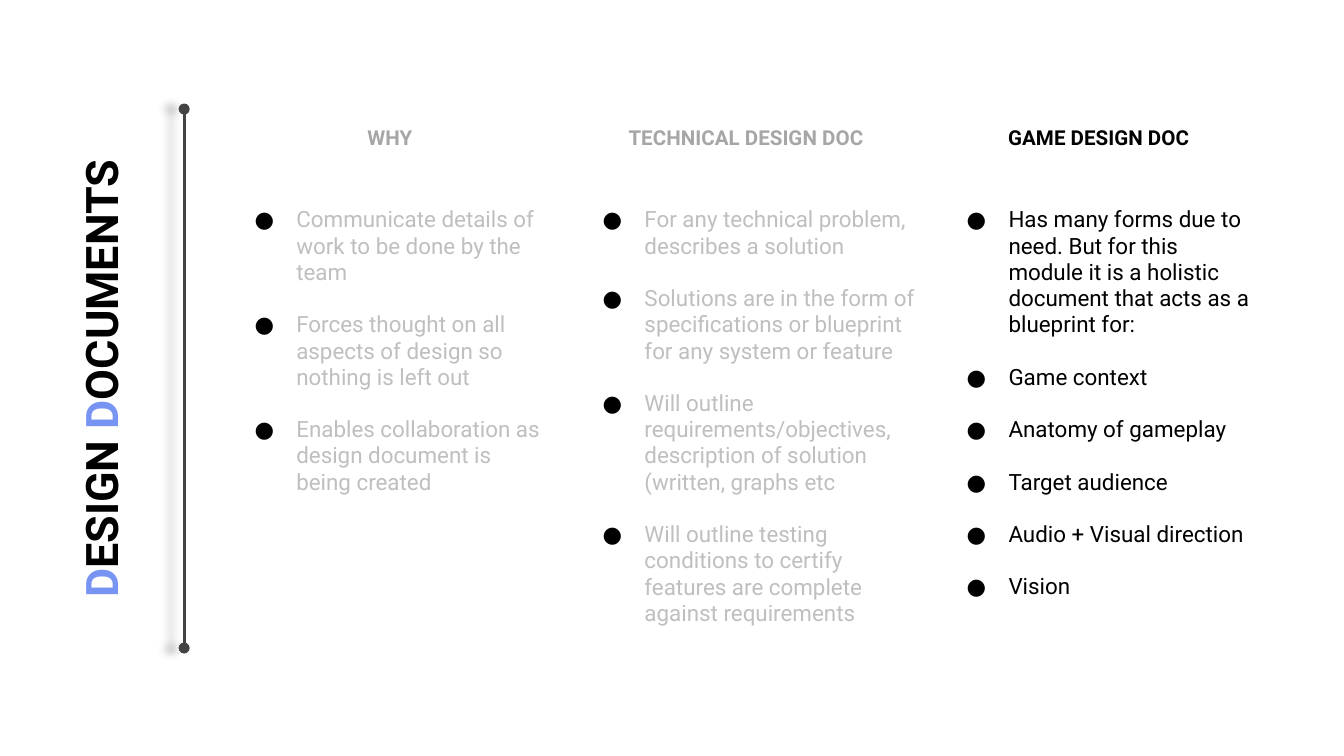
from pptx import Presentation
from pptx.dml.color import RGBColor
from pptx.enum.shapes import MSO_CONNECTOR
from pptx.enum.text import MSO_ANCHOR, MSO_AUTO_SIZE, PP_ALIGN
from pptx.oxml import parse_xml
from pptx.oxml.ns import nsdecls
from pptx.util import Cm, Pt

STRAIGHT = MSO_CONNECTOR.STRAIGHT
TOP, MIDDLE = MSO_ANCHOR.TOP, MSO_ANCHOR.MIDDLE
CENTER = PP_ALIGN.CENTER
FIT_SHAPE = MSO_AUTO_SIZE.SHAPE_TO_FIT_TEXT

FONT = "Roboto"
BLACK, BLUE = "000000", "7794F3"
HEADING_GREY, TEXT_GREY, RULE_GREY = "A6A6A6", "BFBFBF", "434343"
NO_STYLE = "{2D5ABB26-0587-4C30-8999-92F81FD0307C}"


def rgb(color):
    return RGBColor.from_string(color)


def add_run(paragraph, text, size, color, bold=False):
    run = paragraph.add_run()
    run.text = text
    run.font.name = FONT
    run.font.size = Pt(size)
    run.font.bold = bold
    run.font.color.rgb = rgb(color)


topics = [
    ("WHY", HEADING_GREY, TEXT_GREY, [
        "Communicate details of work to be done by the team",
        "Forces thought on all aspects of design so nothing is left out",
        "Enables collaboration as design document is being created",
    ]),
    ("TECHNICAL DESIGN DOC", HEADING_GREY, TEXT_GREY, [
        "For any technical problem, describes a solution",
        "Solutions are in the form of specifications or blueprint for any system or feature",
        "Will outline requirements/objectives, description of solution (written, graphs etc",
        "Will outline testing conditions to certify features are complete against requirements",
    ]),
    ("GAME DESIGN DOC", BLACK, BLACK, [
        "Has many forms due to need. But for this module it is a holistic "
        "document that acts as a blueprint for:",
        "Game context",
        "Anatomy of gameplay",
        "Target audience",
        "Audio + Visual direction",
        "Vision",
    ]),
]

prs = Presentation()
prs.slide_width, prs.slide_height = Cm(25.4), Cm(14.28)
slide = prs.slides.add_slide(prs.slide_layouts[5])

table = slide.shapes.add_table(2, 4, Cm(3.48), Cm(2.06), Cm(20.5), Cm(10.41)).table
table._tbl.tblPr[0].text = NO_STYLE
table.first_row = table.horz_banding = False
for column, width in zip(table.columns, (0.58, 6.58, 6.88, 6.45)):
    column.width = Cm(width)
for row, height in zip(table.rows, (1.6, 8.81)):
    row.height = Cm(height)
for cell in table.iter_cells():
    cell.fill.background()
    cell.margin_left = cell.margin_right = Cm(0.25)
    cell.margin_top = cell.margin_bottom = Cm(0.25)

for col, (heading, heading_color, text_color, points) in enumerate(topics, 1):
    heading_cell = table.cell(0, col)
    heading_cell.vertical_anchor = MIDDLE
    heading_cell.margin_bottom = Cm(0.76)
    heading_line = heading_cell.text_frame.paragraphs[0]
    heading_line.alignment = CENTER
    add_run(heading_line, heading, 11, heading_color, True)

    points_frame = table.cell(1, col).text_frame
    for i, point in enumerate(points):
        bullet = points_frame.add_paragraph() if i else points_frame.paragraphs[0]
        bullet_format = bullet._p.get_or_add_pPr()
        bullet_format.set("marL", str(Cm(1.27)))
        bullet_format.set("indent", str(Cm(-0.79)))
        for xml in (
            f'<a:buClr {nsdecls("a")}><a:srgbClr val="{BLACK}"/></a:buClr>',
            f'<a:buFont {nsdecls("a")} typeface="{FONT}"/>',
            f'<a:buChar {nsdecls("a")} char="●"/>',
        ):
            bullet_format.append(parse_xml(xml))
        if i:
            bullet.space_before = Pt(14)
        add_run(bullet, point, 12, text_color)

title = slide.shapes.title
title.left, title.top, title.width, title.height = Cm(-4.29), Cm(6.38), Cm(12.4), Cm(1.55)
title.rotation = 270
title_frame = title.text_frame
title_frame.word_wrap = True
title_frame.auto_size = FIT_SHAPE
title_frame.vertical_anchor = TOP
title_frame.margin_left = title_frame.margin_right = Cm(0.25)
title_frame.margin_top = title_frame.margin_bottom = Cm(0.25)
title_line = title_frame.paragraphs[0]
title_line.alignment = CENTER
for text, color in (("D", BLUE), ("ESIGN", BLACK), (" D", BLUE), ("OCUMENTS", BLACK)):
    add_run(title_line, text, 24, color, True)

divider = slide.shapes.add_connector(STRAIGHT, Cm(3.48), Cm(2.06), Cm(3.48), Cm(12.24))
divider.line.color.rgb = rgb(RULE_GREY)
divider.line.width = Pt(1.5)
divider_line = divider.line._get_or_add_ln()
for end in ("headEnd", "tailEnd"):
    divider_line.append(parse_xml(f'<a:{end} {nsdecls("a")} type="oval"/>'))
divider._element.spPr.append(parse_xml(
    f'<a:effectLst {nsdecls("a")}>'
    f'<a:outerShdw blurRad="{Pt(4.5)}" dist="{Pt(7.5)}" dir="10800000" algn="bl" rotWithShape="0">'
    f'<a:srgbClr val="{BLACK}"><a:alpha val="23000"/></a:srgbClr>'
    '</a:outerShdw></a:effectLst>'
))

prs.save("out.pptx")
